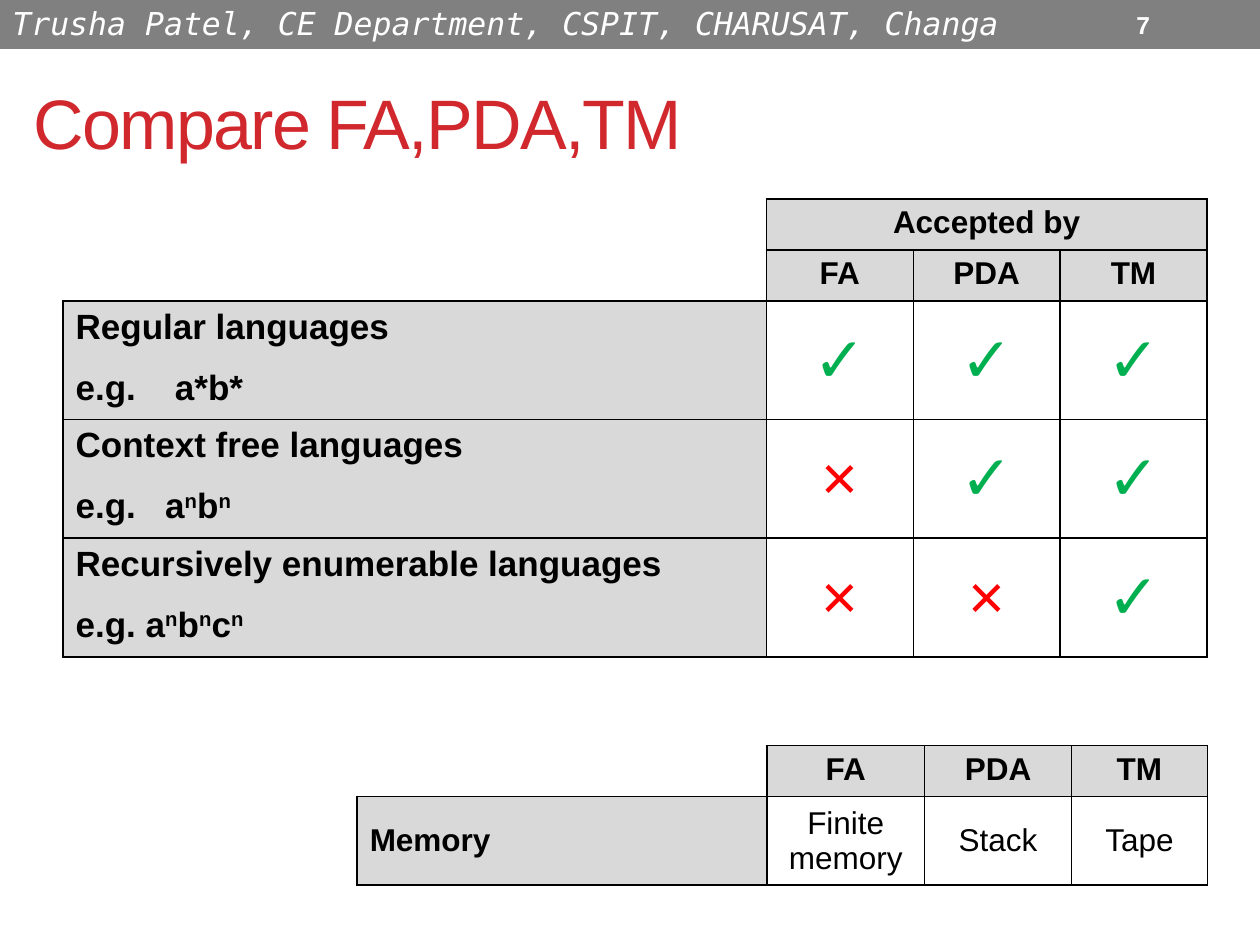
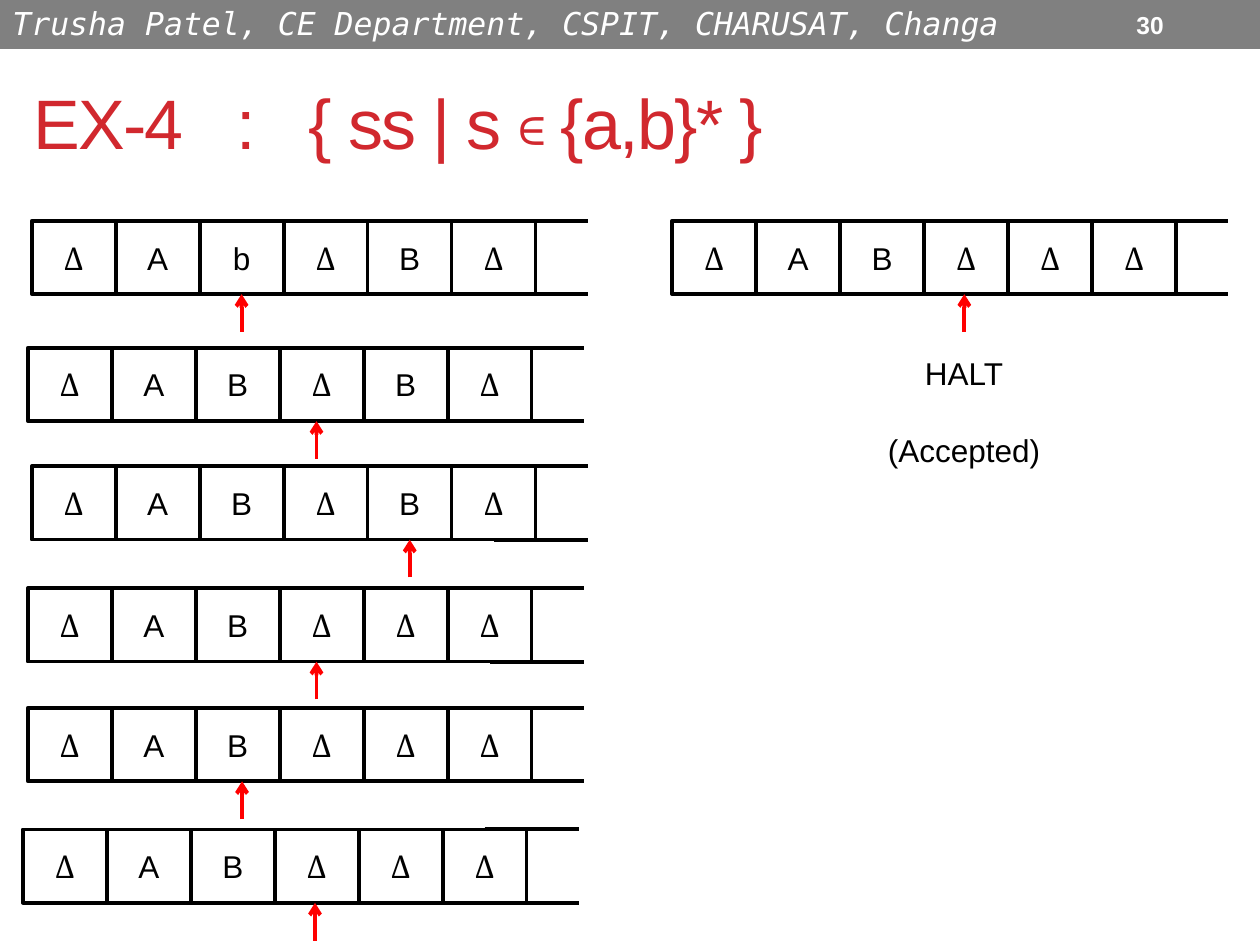
import pptx
import pptx.util
import pptx.dml.color
import pptx.enum.shapes
import pptx.enum.text
import pptx.oxml
from pptx.oxml.ns import qn

Cm, Pt = pptx.util.Cm, pptx.util.Pt
ALIGN = pptx.enum.text.PP_ALIGN
ANCHOR = pptx.enum.text.MSO_ANCHOR
RECTANGLE = pptx.enum.shapes.MSO_SHAPE.RECTANGLE
STRAIGHT = pptx.enum.shapes.MSO_CONNECTOR.STRAIGHT

BLACK, WHITE, RED, GREEN = "000000", "FFFFFF", "FF0000", "00B050"
BAND, TITLE, HEADING = "808080", "D1282E", "D9D9D9"
SANS, SERIF, MONO = "Arial", "Cambria", "DejaVu Sans Mono"
NO_STYLE = "{2D5ABB26-0587-4C30-8999-92F81FD0307C}"
PRESENTER = "Trusha Patel, CE Department, CSPIT, CHARUSAT, Changa"
CHECK, CROSS = "✓", "×"

CELL_WIDTH, CELL_HEIGHT = 1.693, 1.48
TAPE_TAIL, HEAD_LENGTH = 1.9, 0.76


def rgb(value):
    return pptx.dml.color.RGBColor.from_string(value)


def gap(points):
    """One space widened by the given number of points."""
    return " ", {"spc": round(points * 100)}


def sup(text):
    return text, {"baseline": 30000}


def write(paragraph, pieces, size=18, color=BLACK, font=SANS, bold=False,
          italic=False, align=ALIGN.LEFT):
    """Fill a paragraph; a piece is a string or (string, run attributes).

    The attribute "font" replaces the font, the others are set on the run.
    """
    paragraph.alignment = align
    for piece in [pieces] if isinstance(pieces, str) else pieces:
        text, extra = (piece, {}) if isinstance(piece, str) else piece
        run = paragraph.add_run()
        run.text = text
        run.font.name = extra.get("font", font)
        run.font.size = Pt(size)
        run.font.bold = bold
        run.font.italic = italic
        run.font.color.rgb = rgb(color)
        for key in extra.keys() - {"font"}:
            run.font._element.set(key, str(extra[key]))


def add_text(slide, box, pieces, anchor=ANCHOR.MIDDLE, **look):
    frame = slide.shapes.add_textbox(*map(Cm, box)).text_frame
    frame.word_wrap = True
    frame.vertical_anchor = anchor
    write(frame.paragraphs[0], pieces, **look)
    return frame


def add_box(shapes, box, text, fill=None, line=BLACK, weight=2.08,
            anchor=ANCHOR.MIDDLE, **look):
    shape = shapes.add_shape(RECTANGLE, *map(Cm, box))
    shape.shadow.inherit = False
    if fill:
        shape.fill.solid()
        shape.fill.fore_color.rgb = rgb(fill)
    else:
        shape.fill.background()
    shape.line.color.rgb = rgb(line)
    shape.line.width = Pt(weight)
    shape.text_frame.vertical_anchor = anchor
    write(shape.text_frame.paragraphs[0], text, **look)


def add_line(shapes, start, end, color=BLACK, arrow=False):
    line = shapes.add_connector(STRAIGHT, *map(Cm, start + end))
    line.line.color.rgb = rgb(color)
    line.line.width = Pt(2.25)
    properties = line.element.spPr
    if arrow:
        properties.find(qn("a:ln")).append(
            properties.makeelement(qn("a:tailEnd"), {"type": "arrow"}))
    properties.append(properties.makeelement(qn("a:effectLst"), {}))


def add_page(deck, number, title):
    slide = deck.slides.add_slide(deck.slide_layouts[6])
    add_box(slide.shapes, (0, -0.05, 25.4, 1.02), PRESENTER, fill=BAND, line=BAND,
            weight=0.75, anchor=ANCHOR.TOP, color=WHITE, font=MONO, italic=True)
    tight = [(piece, {}) if isinstance(piece, str) else piece for piece in title]
    add_text(slide, (0.43, 1.07, 24.56, 2.74),
             [(text, {"spc": -100, **extra}) for text, extra in tight],
             size=40, color=TITLE)
    add_text(slide, (22.66, 0.05, 1.47, 0.89), number, size=14, color=WHITE, bold=True)
    return slide


def set_borders(cell, sides):
    properties = cell._tc.get_or_add_tcPr()
    for position, side in enumerate(sides):
        properties.insert(position, pptx.oxml.parse_xml(
            '<a:ln%s xmlns:a="http://schemas.openxmlformats.org/drawingml/2006/main"'
            ' w="12700"><a:solidFill><a:srgbClr val="%s"/></a:solidFill></a:ln%s>'
            % (side, BLACK, side)))


def add_grid(slide, left, top, widths, heights, headings):
    """Table with grey headings and an open corner above the first column.

    `headings` is the number of heading rows.
    """
    frame = slide.shapes.add_table(len(heights), len(widths), Cm(left), Cm(top),
                                   Cm(sum(widths)), Cm(sum(heights)))
    grid = frame.table
    grid.first_row = grid.horz_banding = False
    next(frame.element.iter(qn("a:tableStyleId"))).text = NO_STYLE
    for column, width in zip(grid.columns, widths):
        column.width = Cm(width)
    for row, height in zip(grid.rows, heights):
        row.height = Cm(height)
    for r in range(len(heights)):
        for c in range(len(widths)):
            cell = grid.cell(r, c)
            corner = r < headings and c == 0
            if not corner and (r < headings or c == 0):
                cell.fill.solid()
                cell.fill.fore_color.rgb = rgb(HEADING)
            else:
                cell.fill.background()
            if corner:
                set_borders(cell, "RB" if r == headings - 1 else "R")
            else:
                set_borders(cell, "LRTB")
            if r >= headings:
                cell.vertical_anchor = ANCHOR.MIDDLE
    return grid


def write_row(grid, row, first_column, texts, **look):
    for column, text in enumerate(texts, first_column):
        write(grid.cell(row, column).text_frame.paragraphs[0], text,
              align=ALIGN.CENTER, **look)


def add_acceptance(slide, left, top, machines):
    languages = [
        ("Regular languages", ["e.g.", gap(16.7), "a*b*"], CHECK * 3),
        ("Context free languages",
         ["e.g.", gap(11.1), "a", sup("n"), "b", sup("n")], CROSS + CHECK * 2),
        ("Recursively enumerable languages",
         ["e.g. a", sup("n"), "b", sup("n"), "c", sup("n")], CROSS * 2 + CHECK),
    ]
    grid = add_grid(slide, left, top, [14.18] + [2.96] * 3, [1.03] * 2 + [2.3] * 3, 2)
    grid.cell(0, 1).merge(grid.cell(0, 3))
    write_row(grid, 0, 1, ["Accepted by"], bold=True)
    write_row(grid, 1, 1, machines, bold=True)
    for row, (language, example, marks) in enumerate(languages, 2):
        name = grid.cell(row, 0)
        name.vertical_anchor = ANCHOR.TOP
        write(name.text_frame.paragraphs[0], language, size=20, bold=True)
        sample = name.text_frame.add_paragraph()
        sample.space_before = Pt(12.5)
        write(sample, example, size=20, bold=True)
        for column, mark in enumerate(marks, 1):
            write_row(grid, row, column, [mark], size=36,
                      color=GREEN if mark == CHECK else RED)


def add_memory(slide, left, top, machines):
    grid = add_grid(slide, left, top, [8.26, 3.18, 2.96, 2.74], [1.03, 1.69], 1)
    write_row(grid, 0, 1, machines, bold=True)
    write(grid.cell(1, 0).text_frame.paragraphs[0], "Memory", bold=True)
    write_row(grid, 1, 1, ["Finite memory", "Stack", "Tape"])


def add_tape(slide, left, top, symbols, head):
    """Tape open to the right; `head` is the arrow's distance from its left end."""
    shapes = slide.shapes.add_group_shape().shapes
    bottom = top + CELL_HEIGHT
    for index, symbol in enumerate(symbols):
        add_box(shapes, (left + index * CELL_WIDTH, top, CELL_WIDTH, CELL_HEIGHT),
                symbol, font=SERIF if symbol == "Δ" else SANS, align=ALIGN.CENTER)
    start = left + (len(symbols) - 0.5) * CELL_WIDTH
    for edge in (top, bottom):
        add_line(shapes, (start, edge), (start + TAPE_TAIL, edge))
    add_line(shapes, (left + head, bottom + HEAD_LENGTH), (left + head, bottom),
             RED, arrow=True)


def add_verdict(slide, box):
    frame = add_text(slide, box, "HALT", anchor=ANCHOR.TOP, align=ALIGN.CENTER)
    frame.word_wrap = False
    accepted = frame.add_paragraph()
    accepted.space_before = Pt(22.5)
    write(accepted, "(Accepted)", align=ALIGN.CENTER)


def build_comparison(deck):
    slide = add_page(deck, "7", ["Compare FA,PDA,TM"])
    machines = ["FA", "PDA", "TM"]
    add_acceptance(slide, 1.27, 4.01, machines)
    add_memory(slide, 7.2, 15.03, machines)


def build_tape_trace(deck):
    wide = gap(19)
    slide = add_page(deck, "30", ["EX-4", wide, ":", wide, "{ ss | s ",
                                  ("∊ ", {"font": SERIF}), "{a,b}* }"])
    steps = [
        (0.64, 4.45, "ΔAbΔBΔ", 4.23),
        (0.56, 7.01, "ΔABΔBΔ", 5.82),
        (0.64, 9.4, "ΔABΔBΔ", 7.62),
        (0.56, 11.86, "ΔABΔΔΔ", 5.82),
        (0.56, 14.27, "ΔABΔΔΔ", 4.32),
        (0.46, 16.72, "ΔABΔΔΔ", 5.89),
        (13.55, 4.45, "ΔABΔΔΔ", 5.89),
    ]
    for step in steps:
        add_tape(slide, *step)
    add_verdict(slide, (17.63, 7.01, 3.61, 2.57))


def main():
    deck = pptx.Presentation()
    deck.slide_width, deck.slide_height = Cm(25.4), Cm(19.05)
    build_comparison(deck)
    build_tape_trace(deck)
    deck.save("out.pptx")


if __name__ == "__main__":
    main()
